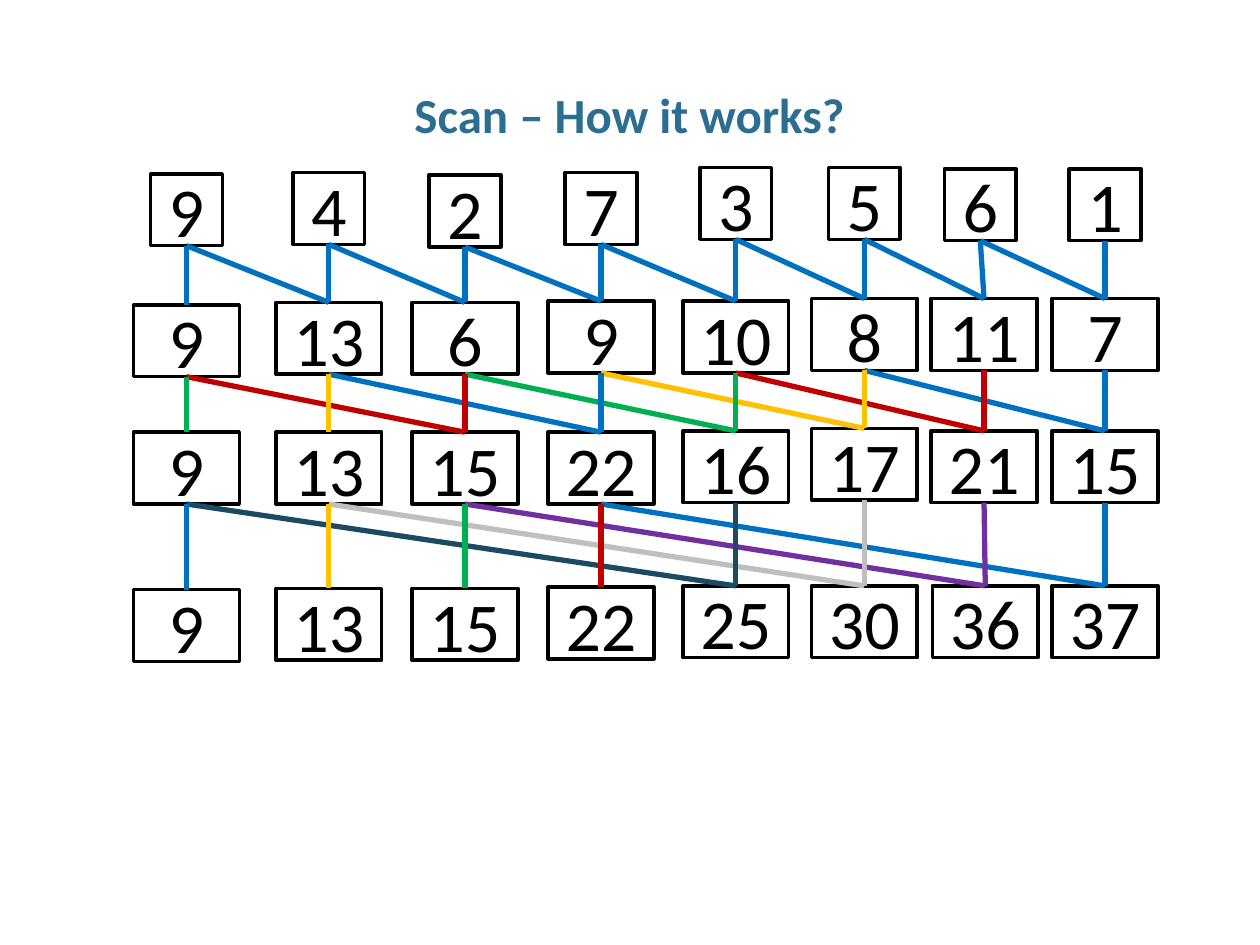
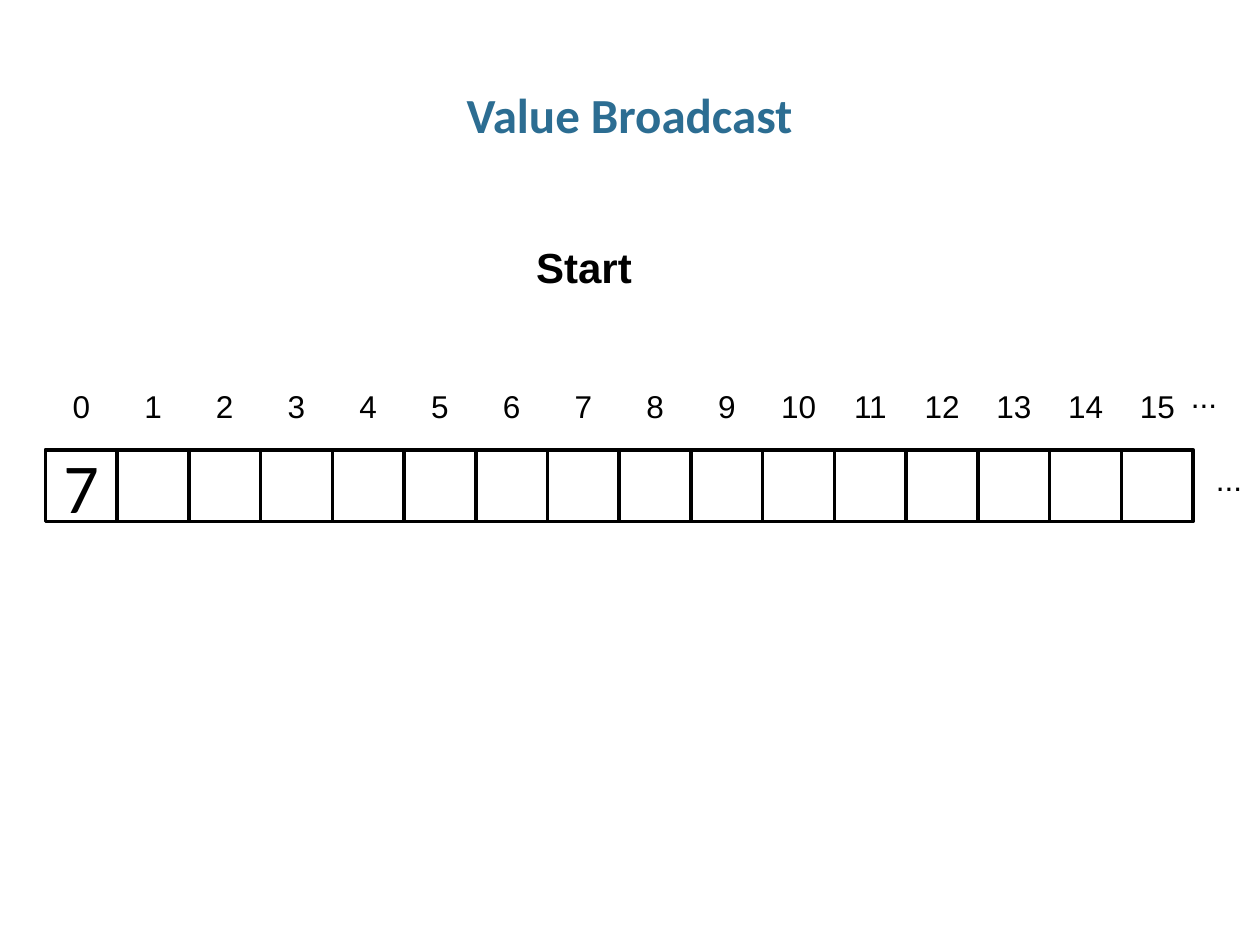
from dataclasses import dataclass
from pptx import Presentation
from pptx.dml.color import RGBColor
from pptx.enum.shapes import MSO_CONNECTOR, MSO_SHAPE
from pptx.enum.text import MSO_ANCHOR, MSO_AUTO_SIZE, PP_ALIGN
from pptx.oxml.ns import qn
from pptx.util import Inches, Pt

RECT = MSO_SHAPE.RECTANGLE
STRAIGHT = MSO_CONNECTOR.STRAIGHT
CENTER = PP_ALIGN.CENTER
MIDDLE = MSO_ANCHOR.MIDDLE
TOP = MSO_ANCHOR.TOP
FIT = MSO_AUTO_SIZE.SHAPE_TO_FIT_TEXT


@dataclass(frozen=True)
class Theme:
    title: str = "2C6D92"
    black: str = "000000"
    blue: str = "0070C0"
    red: str = "C00000"
    green: str = "00B050"
    yellow: str = "FFC000"
    purple: str = "7030A0"
    grey: str = "BFBFBF"
    navy: str = "1D4A63"
    heading_font: str = "Calibri"
    label_font: str = "Arial"
    title_size: int = 28
    value_size: int = 40
    start_size: int = 24
    label_size: int = 18
    border: int = 2
    link: int = 3


T = Theme()
SIDE = 0.57
WIDE = 0.84

INPUT = [9, 4, 2, 7, 3, 5, 6, 1]
CENTRES = [1.48, 2.61, 3.69, 4.77, 5.84, 6.86, 7.81, 8.77]
NUDGES = {(0, 6): -0.03, (3, 6): 0.01}
ROW_TOPS = [
    [1.38, 1.37, 1.39, 1.37, 1.33, 1.33, 1.34, 1.34],
    [2.42, 2.4, 2.4, 2.39, 2.39, 2.37, 2.37, 2.37],
    [3.43, 3.43, 3.43, 3.43, 3.42, 3.4, 3.42, 3.42],
    [4.68, 4.67, 4.67, 4.66, 4.65, 4.65, 4.65, 4.65],
]
STAGE_COLORS = [
    [T.blue] * 8,
    [T.green, T.yellow, T.red, T.blue] * 2,
    [T.blue, T.yellow, T.green, T.red, T.navy, T.grey, T.purple, T.blue],
]

CELLS = 16
CELL_LEFT, CELL_TOP = 0.36, 3.57
CELL_PITCH = 8.54 / (CELLS - 1)


def write(tf, text, *, size, font, color=T.black, bold=False, align=CENTER,
          anchor=MIDDLE, wrap=True, spacing=None):
    tf.word_wrap = wrap
    tf.vertical_anchor = anchor
    p = tf.paragraphs[0]
    p.alignment = align
    if spacing:
        p.line_spacing = spacing
    r = p.add_run()
    r.text = str(text)
    r.font.size = Pt(size)
    r.font.name = font
    r.font.bold = bold
    r.font.color.rgb = RGBColor.from_string(color)


class Deck:
    def __init__(self, theme):
        self.theme = theme
        self.prs = Presentation()
        self.prs.slide_width = Inches(10)
        self.prs.slide_height = Inches(7.5)
        self.s = None

    def slide(self, title):
        self.s = self.prs.slides.add_slide(self.prs.slide_layouts[6])
        tf = self.s.shapes.add_textbox(
            Inches(0.34), Inches(0.68), Inches(9.31), Inches(0.5)).text_frame
        tf.margin_left = tf.margin_right = 0
        write(tf, title, size=self.theme.title_size, font=self.theme.heading_font,
              color=self.theme.title, bold=True, spacing=0.95)

    def box(self, x, y, w, value=None):
        sp = self.s.shapes.add_shape(RECT, Inches(x), Inches(y), Inches(w), Inches(SIDE))
        sp.shadow.inherit = False
        sp.fill.background()
        sp.line.color.rgb = RGBColor.from_string(self.theme.black)
        sp.line.width = Pt(self.theme.border)
        if value is not None:
            write(sp.text_frame, value, size=self.theme.value_size,
                  font=self.theme.heading_font)

    def link(self, start, end, color):
        cn = self.s.shapes.add_connector(STRAIGHT, *map(Inches, start + end))
        cn.line.color.rgb = RGBColor.from_string(color)
        cn.line.width = Pt(self.theme.link)
        spPr = cn._element.spPr
        spPr.append(spPr.makeelement(qn("a:effectLst"), {}))

    def label(self, text, x, y, w, h=0.4, size=T.label_size, bold=False):
        tf = self.s.shapes.add_textbox(Inches(x), Inches(y), Inches(w), Inches(h)).text_frame
        tf.auto_size = FIT
        write(tf, text, size=size, font=self.theme.label_font, bold=bold,
              anchor=TOP, wrap=False)


def scan_slide(deck):
    deck.slide("Scan – How it works?")

    def joint(row, col, drop=0):
        return CENTRES[col] + NUDGES.get((row, col), 0), ROW_TOPS[row][col] + drop

    values = INPUT
    for row in range(len(ROW_TOPS)):
        if row:
            step = 2 ** (row - 1)
            values = [v + (values[i - step] if i >= step else 0)
                      for i, v in enumerate(values)]
        w = WIDE if row else SIDE
        for col, value in enumerate(values):
            x, y = joint(row, col)
            deck.box(x - w / 2, y, w, value)

    for stage, colors in enumerate(STAGE_COLORS):
        step = 2 ** stage
        for col in reversed(range(len(colors))):
            end = joint(stage + 1, col)
            if col >= step:
                deck.link(joint(stage, col - step, SIDE), end, colors[col])
            deck.link(joint(stage, col, SIDE), end, colors[col])


def broadcast_slide(deck):
    deck.slide("Value Broadcast")
    for i in range(CELLS):
        x = CELL_LEFT + i * CELL_PITCH
        deck.box(x, CELL_TOP, SIDE, None if i else 7)
        w = 0.34 if i < 10 else 0.48
        deck.label(i, x + (SIDE - w) / 2, 3.02, w)
    deck.label("...", 9.35, 2.94, 0.41)
    deck.label("...", 9.55, 3.6, 0.41)
    deck.label("Start", 4.15, 1.87, 0.97, 0.5, size=T.start_size, bold=True)


def main():
    deck = Deck(T)
    scan_slide(deck)
    broadcast_slide(deck)
    deck.prs.save("out.pptx")


if __name__ == "__main__":
    main()
